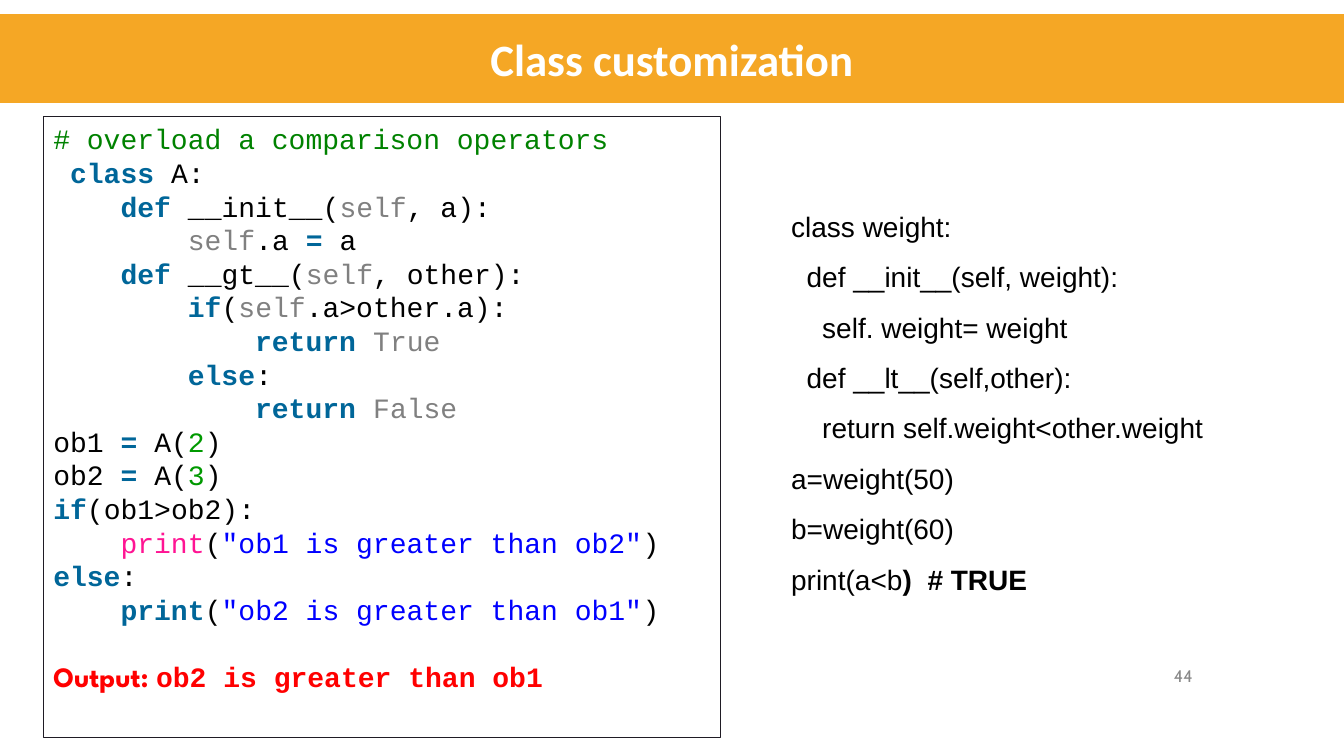
from pptx import Presentation
from pptx.dml.color import RGBColor
from pptx.enum.shapes import MSO_SHAPE
from pptx.enum.text import MSO_ANCHOR, PP_ALIGN
from pptx.util import Pt

RECT = MSO_SHAPE.RECTANGLE
TOP, MIDDLE = MSO_ANCHOR.TOP, MSO_ANCHOR.MIDDLE
LEFT, CENTER = PP_ALIGN.LEFT, PP_ALIGN.CENTER

ORANGE = RGBColor(0xF5, 0xA7, 0x25)
WHITE = RGBColor(0xFF, 0xFF, 0xFF)
BLACK = RGBColor(0, 0, 0)
INK = RGBColor(0x1F, 0x1B, 0x24)
RED = RGBColor(0xFF, 0, 0)
GREEN = RGBColor(0, 0x82, 0)
LIME = RGBColor(0, 0x99, 0)
BLUE = RGBColor(0, 0, 0xFF)
TEAL = RGBColor(0, 0x66, 0x99)
GRAY = RGBColor(0x80, 0x80, 0x80)
PALE = RGBColor(0x88, 0x88, 0x88)
PINK = RGBColor(0xFF, 0x14, 0x93)

MONO = "Courier New"
SANS = "Arial"

# Each code line is a list of (text, colour); teal marks a bold keyword
CODE = [
    [("# overload a comparison operators", GREEN)],
    [(" class ", TEAL), ("A:", BLACK)],
    [("    def ", TEAL), ("__init__(", BLACK), ("self", GRAY), (", a):", BLACK)],
    [("        self", GRAY), (".a ", BLACK), ("= ", TEAL), ("a", BLACK)],
    [("    def ", TEAL), ("__gt__(", BLACK), ("self", GRAY), (", other):", BLACK)],
    [("        if", TEAL), ("(", BLACK), ("self", GRAY), (".a>other.a):", BLACK)],
    [("            return ", TEAL), ("True", GRAY)],
    [("        else", TEAL), (":", BLACK)],
    [("            return ", TEAL), ("False", GRAY)],
    [("ob1 ", BLACK), ("= ", TEAL), ("A(", BLACK), ("2", LIME), (")", BLACK)],
    [("ob2 ", BLACK), ("= ", TEAL), ("A(", BLACK), ("3", LIME), (")", BLACK)],
    [("if", TEAL), ("(ob1>ob2):", BLACK)],
    [("    print", PINK), ("(", BLACK), ('"ob1 is greater than ob2"', BLUE), (")", BLACK)],
    [("else", TEAL), (":", BLACK)],
    [("    print", TEAL), ("(", BLACK), ('"ob2 is greater than ob1"', BLUE), (")", BLACK)],
]

WEIGHT = [
    "class weight:",
    "  def __init__(self, weight):",
    "    self. weight= weight",
    "  def __lt__(self,other):",
    "    return self.weight<other.weight",
    "a=weight(50)",
    "b=weight(60)",
    "print(a<b",
]


def style(run, font, size, color, bold=False):
    run.font.name = font
    run.font.size = Pt(size)
    run.font.color.rgb = color
    run.font.bold = bold


def add_run(para, text, *look):
    run = para.add_run()
    run.text = text
    style(run, *look)


def next_para(frame, index):
    return frame.add_paragraph() if index else frame.paragraphs[0]


def add_title(slide, x, y, w, h):
    title = slide.shapes.title
    title.left, title.top, title.width, title.height = Pt(x), Pt(y), Pt(w), Pt(h)
    title.fill.solid()
    title.fill.fore_color.rgb = ORANGE
    frame = title.text_frame
    frame.text = "Class customization"
    frame.vertical_anchor = MIDDLE
    para = frame.paragraphs[0]
    para.alignment = CENTER
    style(para.runs[0], "Calibri", 32, WHITE, True)


def add_code(slide, x, y, w, h):
    box = slide.shapes.add_shape(RECT, Pt(x), Pt(y), Pt(w), Pt(h))
    box.shadow.inherit = False
    box.fill.background()
    box.line.color.rgb = INK
    box.line.width = Pt(0.75)
    frame = box.text_frame
    frame.word_wrap = True
    frame.vertical_anchor = TOP
    for index, line in enumerate(CODE):
        para = next_para(frame, index)
        para.alignment = LEFT
        for text, color in line:
            add_run(para, text, MONO, 20, color, color == TEAL)
    # Program output, one line below the code
    para = frame.add_paragraph()
    para.alignment = LEFT
    para.space_before = Pt(24)
    add_run(para, "Output: ", "League Spartan", 20, RED, True)
    add_run(para, "ob2 is greater than ob1", MONO, 20, RED, True)


def add_weight(slide, x, y, w, h):
    frame = slide.shapes.add_textbox(Pt(x), Pt(y), Pt(w), Pt(h)).text_frame
    frame.word_wrap = True
    for index, line in enumerate(WEIGHT):
        para = next_para(frame, index)
        para.text = line
        para.line_spacing = 1.5
        style(para.runs[0], SANS, 20, BLACK)
    add_run(para, ")  # TRUE", SANS, 20, BLACK, True)


def add_number(slide, x, y, w, h):
    frame = slide.shapes.add_textbox(Pt(x), Pt(y), Pt(w), Pt(h)).text_frame
    frame.word_wrap = True
    frame.vertical_anchor = MIDDLE
    frame.text = "44"
    style(frame.paragraphs[0].runs[0], "Cabin", 12, PALE)


def main():
    deck = Presentation()
    deck.slide_width, deck.slide_height = Pt(960), Pt(540)
    slide = deck.slides.add_slide(deck.slide_layouts[5])
    add_title(slide, 0, 10, 960, 63.5)
    add_number(slide, 831.5, 468.5, 83, 29)
    add_code(slide, 31, 83.5, 484, 443.5)
    add_weight(slide, 558, 134, 314.5, 294)
    deck.save("out.pptx")


if __name__ == "__main__":
    main()
